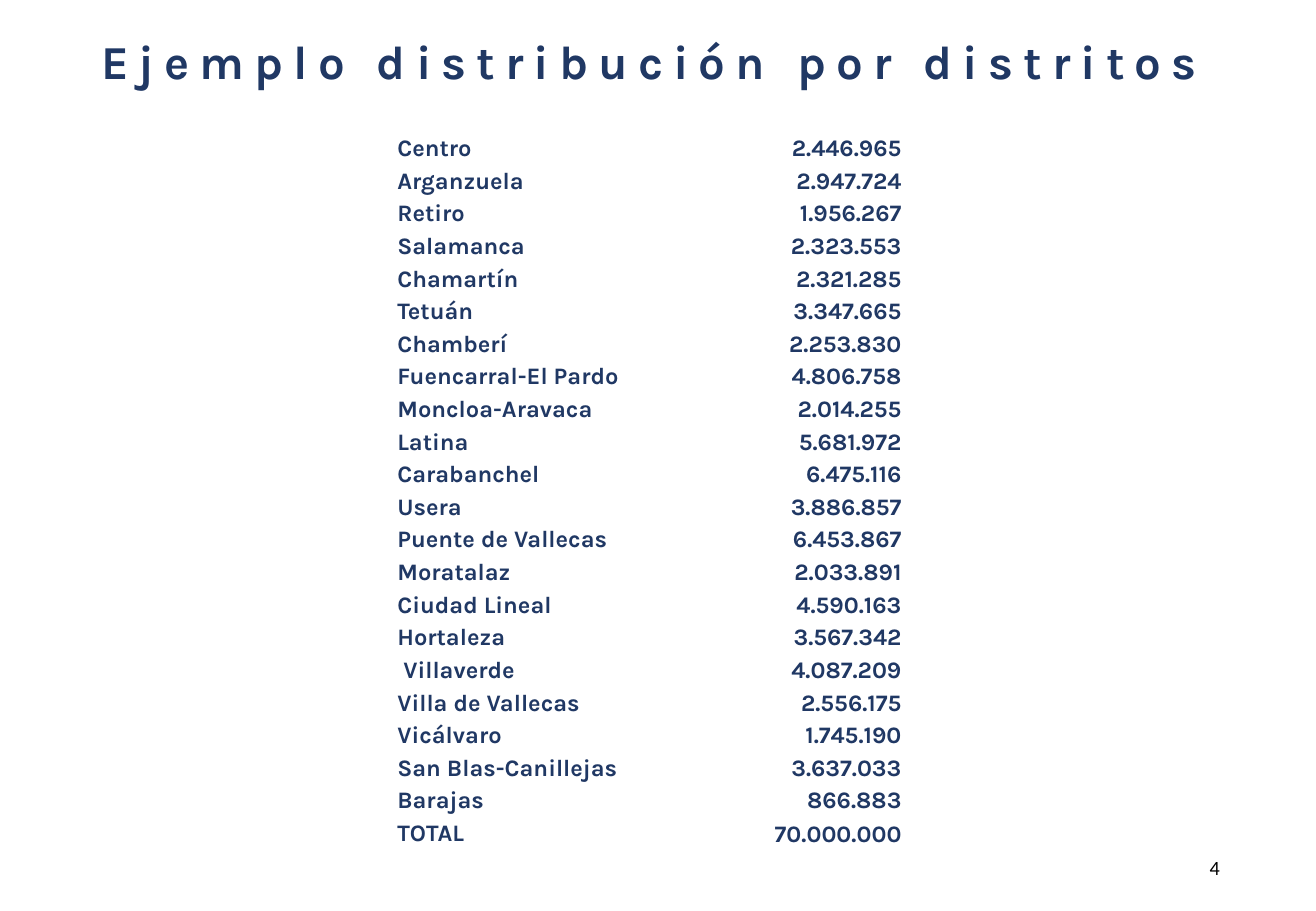
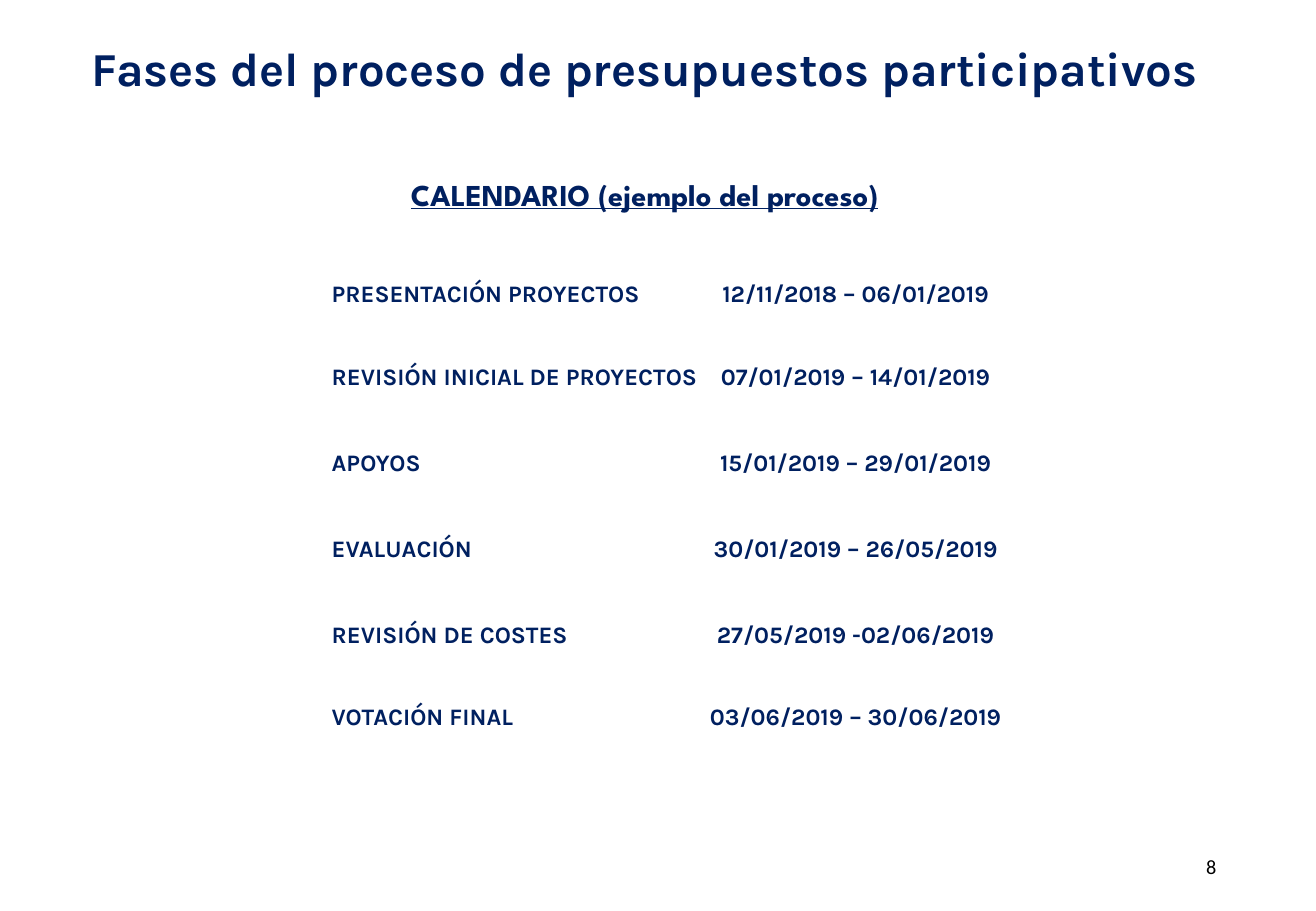
import pptx
import pptx.util
import pptx.dml.color
import pptx.enum.text

Inches = pptx.util.Inches
ALIGN = pptx.enum.text.PP_ALIGN
ANCHOR = pptx.enum.text.MSO_ANCHOR
FIT = pptx.enum.text.MSO_AUTO_SIZE

# Shared look
WIDTH, HEIGHT = Inches(10.83), Inches(7.5)
COLORS = {"slate": "203864", "navy": "002060", "black": "000000"}
TITLE = {"name": "Karla", "size": pptx.util.Pt(28), "bold": True}
BODY = {"name": "Karla", "size": pptx.util.Pt(14), "bold": True}
HEADING = {"name": "League Spartan", "size": pptx.util.Pt(18), "bold": True, "underline": True}
NUMBER = {"name": "Calibri", "size": pptx.util.Pt(12)}
SIDES = ("margin_left", "margin_top", "margin_right", "margin_bottom")

DISTRICTS = [
    ("Centro", "2.446.965"),
    ("Arganzuela", "2.947.724"),
    ("Retiro", "1.956.267"),
    ("Salamanca", "2.323.553"),
    ("Chamartín", "2.321.285"),
    ("Tetuán", "3.347.665"),
    ("Chamberí", "2.253.830"),
    ("Fuencarral-El Pardo", "4.806.758"),
    ("Moncloa-Aravaca", "2.014.255"),
    ("Latina", "5.681.972"),
    ("Carabanchel", "6.475.116"),
    ("Usera", "3.886.857"),
    ("Puente de Vallecas", "6.453.867"),
    ("Moratalaz", "2.033.891"),
    ("Ciudad Lineal", "4.590.163"),
    ("Hortaleza", "3.567.342"),
    (" Villaverde", "4.087.209"),
    ("Villa de Vallecas", "2.556.175"),
    ("Vicálvaro", "1.745.190"),
    ("San Blas-Canillejas", "3.637.033"),
    ("Barajas", "866.883"),
    ("TOTAL", "70.000.000"),
]
PHASES = [
    ("PRESENTACIÓN PROYECTOS", "12/11/2018 – 06/01/2019"),
    ("REVISIÓN INICIAL DE PROYECTOS", "07/01/2019 – 14/01/2019"),
    ("APOYOS", "15/01/2019 – 29/01/2019"),
    ("EVALUACIÓN", "30/01/2019 – 26/05/2019"),
    ("REVISIÓN DE COSTES", "27/05/2019 -02/06/2019"),
    ("VOTACIÓN FINAL", "03/06/2019 – 30/06/2019"),
]


def place(left, top, width, height):
    """Turn percentages of the slide's size into lengths."""
    return [round(share * side / 100)
            for share, side in zip((left, top, width, height), (WIDTH, HEIGHT) * 2)]


def apply(target, values):
    for name, value in values.items():
        setattr(target, name, value)


def write(frame, text, style, color, align):
    para = frame.paragraphs[0]
    para.alignment = align
    span = para.add_run()
    span.text = text
    apply(span.font, style)
    span.font.color.rgb = pptx.dml.color.RGBColor.from_string(COLORS[color])
    return para


def set_frame(frame, wrap, fit):
    apply(frame, dict.fromkeys(SIDES, Inches(0.05)))
    apply(frame, {"word_wrap": wrap, "auto_size": fit, "vertical_anchor": ANCHOR.MIDDLE})


def add_page(deck, title, color, area, number, number_area):
    """Add a slide with its title and page number."""
    page = deck.slides.add_slide(deck.slide_layouts[5])
    box = page.shapes.title
    apply(box, dict(zip(("left", "top", "width", "height"), place(*area))))
    set_frame(box.text_frame, True, FIT.NONE)
    para = write(box.text_frame, title, TITLE, color, ALIGN.CENTER)

    box = page.shapes.add_textbox(*place(*number_area))
    set_frame(box.text_frame, False, FIT.SHAPE_TO_FIT_TEXT)
    write(box.text_frame, number, NUMBER, "black", ALIGN.RIGHT)
    return page, para


def add_grid(page, area, columns, rows):
    """Add a plain table whose columns and rows follow the given weights."""
    frame = page.shapes.add_table(len(rows), len(columns), *place(*area))
    table = frame.table
    apply(table, {"first_row": False, "horz_banding": False})
    for weights, tracks, name, total in ((columns, table.columns, "width", frame.width),
                                         (rows, table.rows, "height", frame.height)):
        for weight, track in zip(weights, tracks):
            setattr(track, name, round(total * weight / sum(weights)))
    for cell in table.iter_cells():
        cell.fill.background()
        cell.vertical_anchor = ANCHOR.MIDDLE
        apply(cell, dict.fromkeys(SIDES, Inches(0.01)))
    return table


def fill_rows(table, entries, first, color, value_align):
    """Write label and value pairs, and return the label paragraphs."""
    labels = []
    for row, (label, value) in enumerate(entries, first):
        labels.append(write(table.cell(row, 0).text_frame, label, BODY, color, ALIGN.LEFT))
        write(table.cell(row, 1).text_frame, value, BODY, color, value_align)
    return labels


def build_districts(deck):
    page, title = add_page(deck, "Ejemplo distribución por distritos", "slate",
                           (4.25, 2.8, 90.21, 7.6), "4", (91.32, 93.33, 1.85, 3.87))
    # Wide letter spacing, in hundredths of a point
    title.runs[0]._r.get_or_add_rPr().set("spc", "600")
    table = add_grid(page, (30.1, 14.53, 38.5, 78.8), (2.25, 1.92), [1] * len(DISTRICTS))
    fill_rows(table, DISTRICTS, 0, "slate", ALIGN.RIGHT)
    table.cell(len(DISTRICTS) - 1, 1).vertical_anchor = ANCHOR.BOTTOM


def build_phases(deck):
    page, title = add_page(deck, "Fases del proceso de presupuestos participativos", "navy",
                           (0, 0, 97.97, 15.73), "8", (91.04, 93.2, 1.85, 3.87))
    title.line_spacing = 0.9
    table = add_grid(page, (21.33, 15.73, 55.31, 67.2), (3.48, 2.52),
                     [0.92, 0.65] + [0.71] * 4 + [0.63])
    # Heading across both columns
    heading = table.cell(0, 0)
    heading.merge(table.cell(0, 1))
    write(heading.text_frame, "CALENDARIO (ejemplo del proceso)", HEADING, "navy", ALIGN.CENTER)
    # Indented phase names
    for para in fill_rows(table, PHASES, 1, "navy", ALIGN.CENTER):
        para.level = 1
        para._p.get_or_add_pPr().set("marL", str(Inches(0.41)))


def main():
    deck = pptx.Presentation()
    apply(deck, {"slide_width": WIDTH, "slide_height": HEIGHT})
    build_districts(deck)
    build_phases(deck)
    deck.save("out.pptx")


if __name__ == "__main__":
    main()
